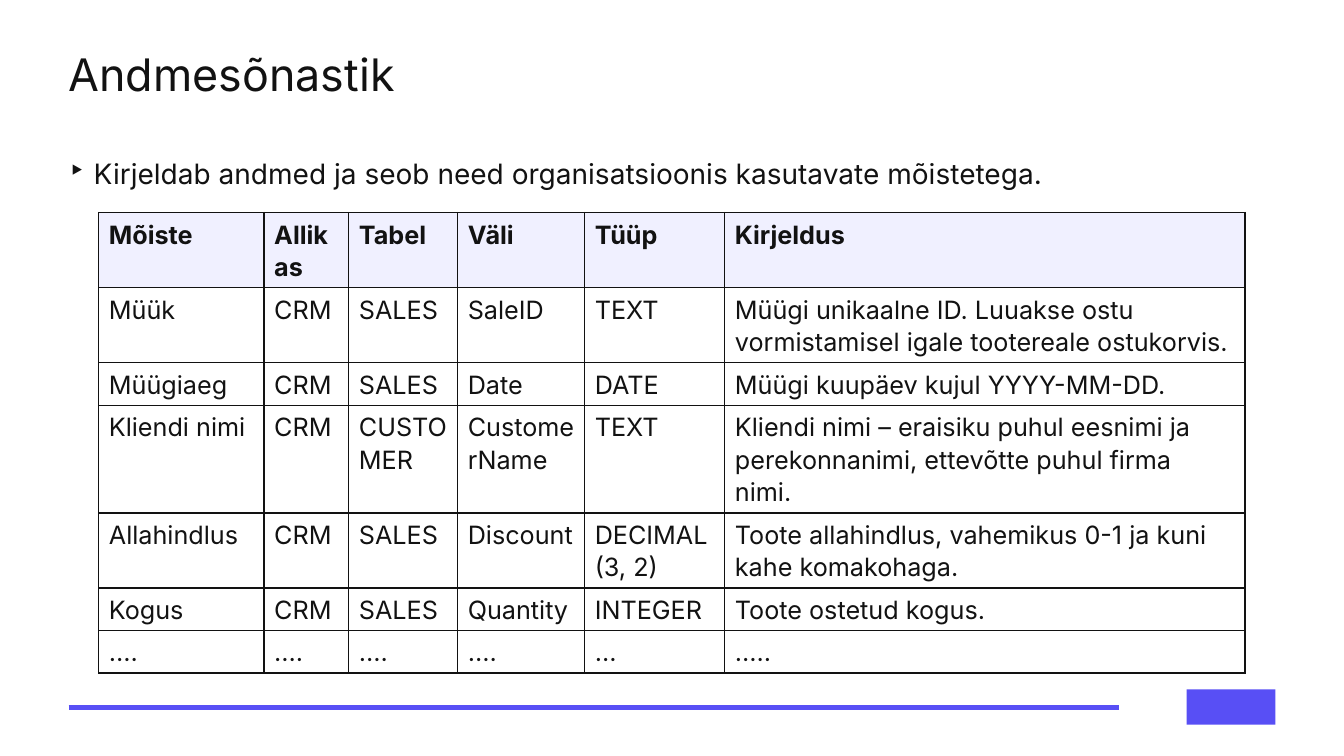
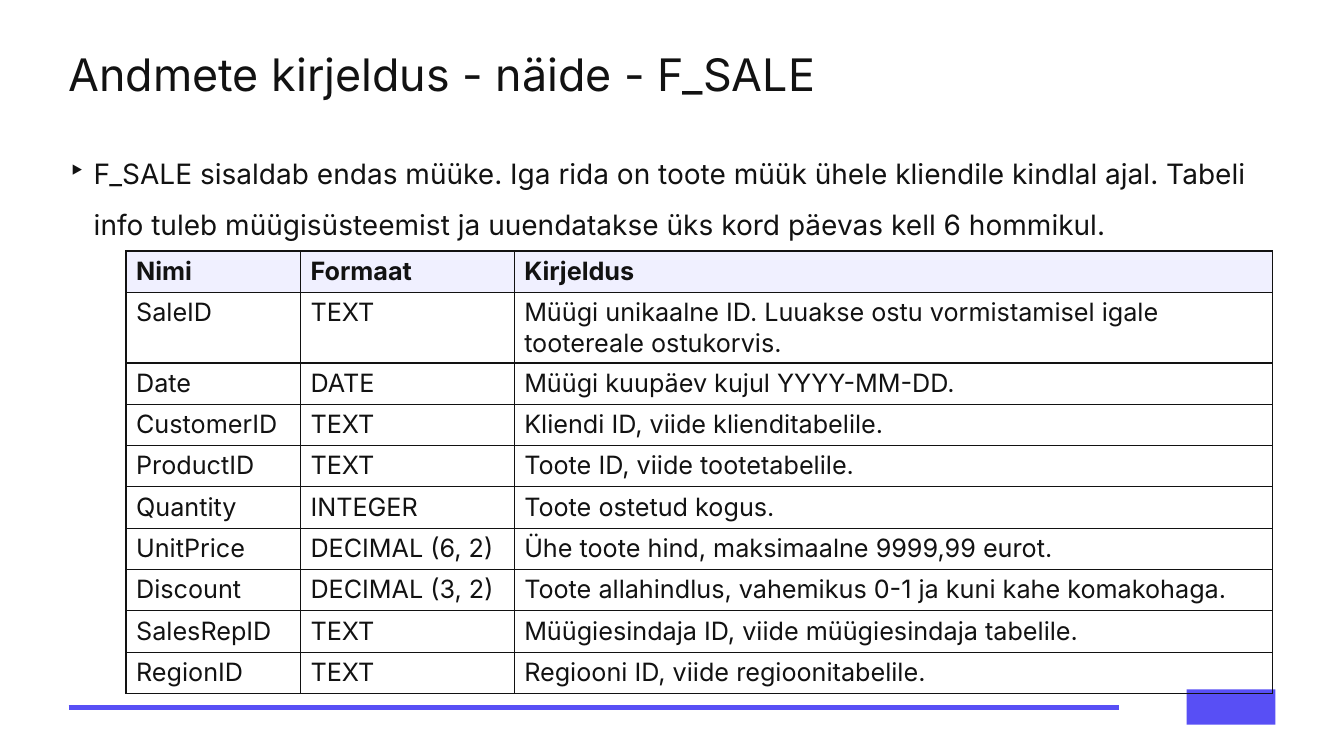
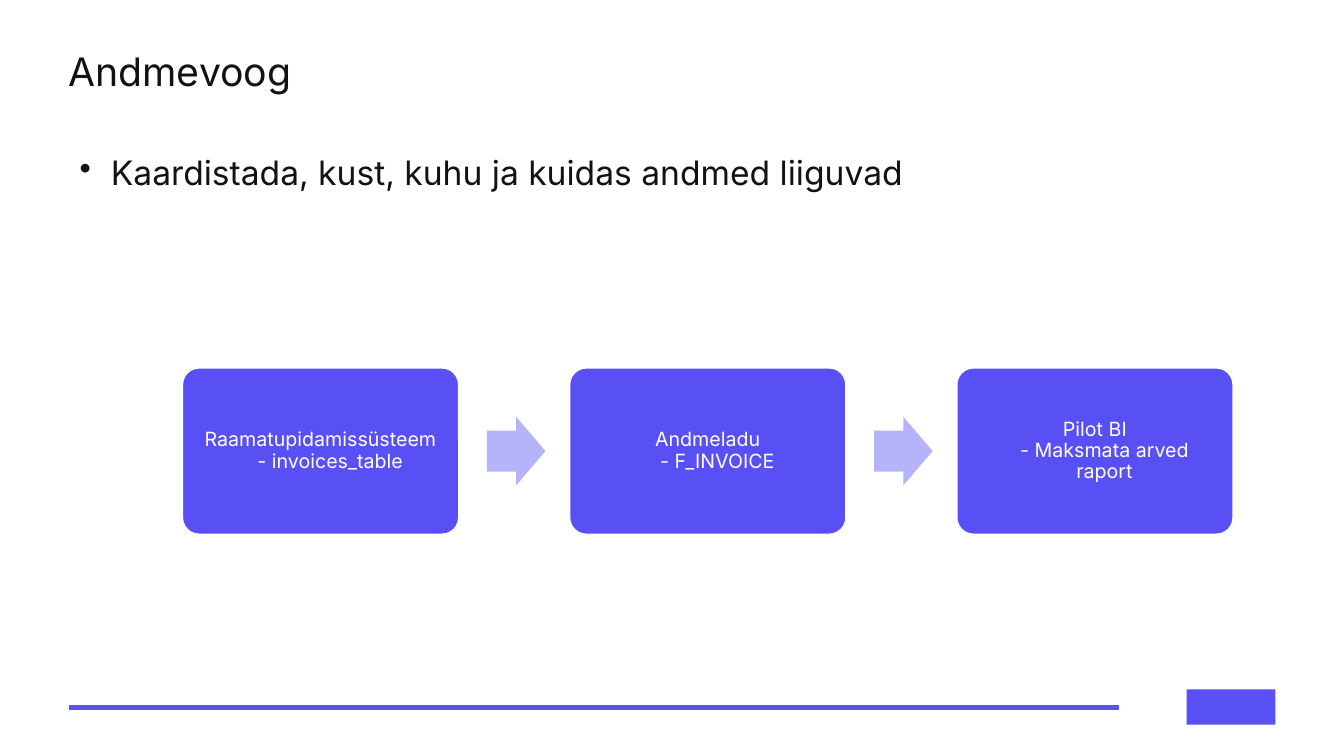
from lxml import etree
from pptx import Presentation, util as u
from pptx.dml.color import RGBColor
from pptx.enum import shapes, text
from pptx.oxml.ns import qn

FONT = "Inter"
HUES = dict(ink="121212", main="584FF5", pale="B5B3F9", head="F0F0FF",
            white="FFFFFF")
LEFT = 0.68

SALE_ID = ("Müügi unikaalne ID. Luuakse ostu vormistamisel igale "
           "tootereale ostukorvis.")
DATE = "Müügi kuupäev kujul YYYY-MM-DD."
COUNT = "Toote ostetud kogus."
CUT = "Toote allahindlus, vahemikus 0-1 ja kuni kahe komakohaga."

TABLES = [
    dict(title="Andmesõnastik",
         lead="Kirjeldab andmed ja seob need organisatsioonis kasutavate "
              "mõistetega.",
         at=(0.98, 2.11), cols=(1.64, 0.84, 1.08, 1.26, 1.39, 5.16),
         high=0.4, space=u.Pt(23.2), edge=1.08,
         rows=[
             ("Mõiste", "Allikas", "Tabel", "Väli", "Tüüp", "Kirjeldus"),
             ("Müük", "CRM", "SALES", "SaleID", "TEXT", SALE_ID),
             ("Müügiaeg", "CRM", "SALES", "Date", "DATE", DATE),
             ("Kliendi nimi", "CRM", "CUSTOMER", "CustomerName", "TEXT",
              "Kliendi nimi – eraisiku puhul eesnimi ja perekonnanimi, "
              "ettevõtte puhul firma nimi."),
             ("Allahindlus", "CRM", "SALES", "Discount", "DECIMAL (3, 2)", CUT),
             ("Kogus", "CRM", "SALES", "Quantity", "INTEGER", COUNT),
             ("….", "….", "….", "….", "...", "….."),
         ]),
    dict(title="Andmete kirjeldus - näide - F_SALE",
         lead="F_SALE sisaldab endas müüke. Iga rida on toote müük ühele "
              "kliendile kindlal ajal. Tabeli info tuleb müügisüsteemist ja "
              "uuendatakse üks kord päevas kell 6 hommikul.",
         at=(1.25, 2.49), cols=(1.73, 2.12, 7.52),
         high=0.41, space=1.0, edge=1,
         rows=[
             ("Nimi", "Formaat", "Kirjeldus"),
             ("SaleID", "TEXT", SALE_ID),
             ("Date", "DATE", DATE),
             ("CustomerID", "TEXT", "Kliendi ID, viide klienditabelile."),
             ("ProductID", "TEXT", "Toote ID, viide tootetabelile."),
             ("Quantity", "INTEGER", COUNT),
             ("UnitPrice", "DECIMAL (6, 2)",
              "Ühe toote hind, maksimaalne 9999,99 eurot."),
             ("Discount", "DECIMAL (3, 2)", CUT),
             ("SalesRepID", "TEXT",
              "Müügiesindaja ID, viide müügiesindaja tabelile."),
             ("RegionID", "TEXT", "Regiooni ID, viide regioonitabelile."),
         ]),
]
FLOW = dict(title="Andmevoog",
            lead="Kaardistada, kust, kuhu ja kuidas andmed liiguvad",
            steps=[("Raamatupidamissüsteem", "- invoices_table"),
                   ("Andmeladu", "- F_INVOICE"),
                   ("Pilot BI", "- Maksmata arved raport")])


def hue(name):
    return RGBColor.from_string(HUES[name])


def inch(*vals):
    return [u.Inches(v) for v in vals]


def style(para, size, color="ink", space=1.0, bold=False):
    font = para.font
    font.name, font.size, font.bold = FONT, u.Pt(size), bold
    font.color.rgb = hue(color)
    para.line_spacing = space


def write(slide, at, words, size, space):
    frame = slide.shapes.add_textbox(*inch(*at)).text_frame
    frame.word_wrap = True
    frame.margin_left = frame.margin_right = 0
    frame.margin_top = frame.margin_bottom = 0
    para = frame.paragraphs[0]
    para.text = words
    style(para, size, space=space)
    return para


def bullet(para, sign, dent):
    props = para._p.get_or_add_pPr()
    props.set("marL", str(u.Inches(dent)))
    props.set("indent", str(-u.Inches(dent)))
    etree.SubElement(props, qn("a:buChar")).set("char", sign)


def block(slide, kind, at, color):
    shape = slide.shapes.add_shape(kind, *inch(*at))
    shape.shadow.inherit = False
    shape.fill.solid()
    shape.fill.fore_color.rgb = hue(color)
    shape.line.fill.background()
    return shape


def base(deck, title, size):
    """Add a slide with the shared title, footer rule and corner mark."""
    slide = deck.slides.add_slide(deck.slide_layouts[6])
    rule = slide.shapes.add_connector(shapes.MSO_CONNECTOR.STRAIGHT,
                                      *inch(LEFT, 7.02, 11.1, 7.02))
    rule.line.color.rgb = hue("main")
    rule.line.width = u.Pt(3)
    etree.SubElement(rule._element.spPr, qn("a:effectLst"))
    block(slide, shapes.MSO_SHAPE.RECTANGLE, (11.77, 6.84, 0.88, 0.35), "main")
    write(slide, (LEFT, 0.52, 10.98, 0.39), title, size, 0.9)
    return slide


def border(cell, width):
    props = cell._tc.get_or_add_tcPr()
    for spot, side in enumerate(("lnL", "lnR", "lnT", "lnB")):
        line = etree.Element(qn("a:" + side), w=str(u.Pt(width)))
        fill = etree.SubElement(line, qn("a:solidFill"))
        etree.SubElement(fill, qn("a:srgbClr")).set("val", HUES["ink"])
        props.insert(spot, line)


def grid(slide, data):
    rows, cols = data["rows"], data["cols"]
    size = sum(cols), data["high"] * len(rows)
    table = slide.shapes.add_table(len(rows), len(cols),
                                   *inch(*data["at"], *size)).table
    table.first_row = table.horz_banding = False
    for col, wide in zip(table.columns, cols):
        col.width = u.Inches(wide)
    for r, row in enumerate(rows):
        for c, words in enumerate(row):
            cell = table.cell(r, c)
            cell.text = words
            style(cell.text_frame.paragraphs[0], 18, space=data["space"],
                  bold=r == 0)
            if r:
                cell.fill.background()
            else:
                cell.fill.solid()
                cell.fill.fore_color.rgb = hue("head")
            border(cell, data["edge"])


def flow(slide, steps):
    left, mid, wide, high, pitch = 1.81, 4.475, 2.74, 1.65, 3.84
    tip, tall = 0.58, 0.68
    for i, lines in enumerate(steps):
        x = left + i * pitch
        if i:
            arrow = block(slide, shapes.MSO_SHAPE.RIGHT_ARROW,
                          (x - 0.82, mid - tall / 2, tip, tall), "pale")
            arrow.adjustments[0] = 0.6
        box = block(slide, shapes.MSO_SHAPE.ROUNDED_RECTANGLE,
                    (x, mid - high / 2, wide, high), "main")
        box.adjustments[0] = 0.1
        box.line.color.rgb = hue("white")
        box.line.width = u.Pt(1)
        frame = box.text_frame
        frame.word_wrap = True
        frame.vertical_anchor = text.MSO_ANCHOR.MIDDLE
        frame.margin_left = frame.margin_right = u.Inches(0.1)
        frame.text = "\n".join(lines)
        for para in frame.paragraphs:
            style(para, 14, "white", 0.9)
            para.alignment = text.PP_ALIGN.CENTER
        frame.paragraphs[1]._p.get_or_add_pPr().set("marL",
                                                    str(u.Inches(0.19)))


def main():
    deck = Presentation()
    deck.slide_width, deck.slide_height = inch(13.33, 7.5)
    for data in TABLES:
        slide = base(deck, data["title"], 32)
        lead = write(slide, (LEFT, 1.39, 11.97, 1), data["lead"], 20, 1.5)
        bullet(lead, "‣", 0.25)
        grid(slide, data)
    slide = base(deck, FLOW["title"], 28)
    lead = write(slide, (0.79, 1.31, 11.87, 1.14), FLOW["lead"], 24, 1.5)
    bullet(lead, "•", 0.31)
    flow(slide, FLOW["steps"])
    deck.save("out.pptx")


if __name__ == "__main__":
    main()
